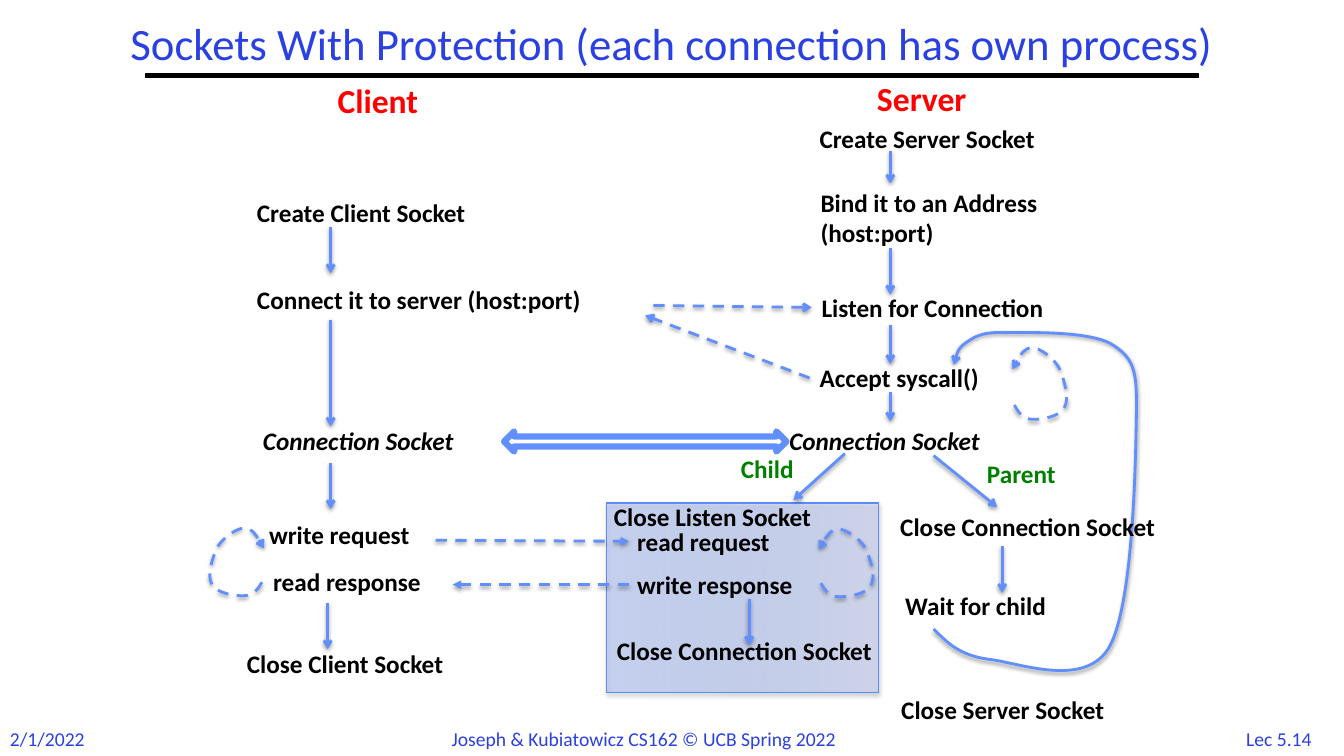
from lxml.etree import SubElement
from pptx import Presentation
from pptx.dml.color import RGBColor
from pptx.enum.dml import MSO_LINE
from pptx.enum.shapes import MSO_CONNECTOR, MSO_SHAPE
from pptx.enum.text import MSO_ANCHOR, MSO_AUTO_SIZE, PP_ALIGN
from pptx.oxml.ns import qn
from pptx.util import Inches, Pt

W, H = 13.33, 7.5
CLIENT, SERVER = 3.28, 8.83  # columns of the downward arrows
COLORS = {"blue": "2A40E2", "red": "FF0000", "black": "000000", "green": "008000",
          "arrow": "618FFD", "edge": "5B8AFB", "white": "FFFFFF",
          "box_from": "5F8EFF", "box_to": "C4D0FF"}
RGB = {name: RGBColor.from_string(value) for name, value in COLORS.items()}

prs = Presentation()
prs.slide_width, prs.slide_height = Inches(W), Inches(H)
slide = prs.slides.add_slide(prs.slide_layouts[6])
shapes = slide.shapes


def text(words, x, y, w, h=0.4, size=18, color="black", bold=True, italic=False,
         align=PP_ALIGN.LEFT, anchor=MSO_ANCHOR.TOP, spacing=None, wrap=False,
         fit=MSO_AUTO_SIZE.SHAPE_TO_FIT_TEXT):
    tf = shapes.add_textbox(Inches(x), Inches(y), Inches(w), Inches(h)).text_frame
    tf.word_wrap, tf.auto_size = wrap, fit
    tf.vertical_anchor = anchor
    for i, line in enumerate(words.split("\n")):
        p = tf.add_paragraph() if i else tf.paragraphs[0]
        p.alignment, p.line_spacing = align, spacing
        r = p.add_run()
        r.text = line
        r.font.name, r.font.size = "Calibri", Pt(size)
        r.font.bold, r.font.italic = bold, italic
        r.font.color.rgb = RGB[color]


def stroke(s, color="arrow", width=2, dash=False, tip=None, shadow=(38, 1.6)):
    """Set line, arrow tip and shadow (opacity in percent, distance in points)."""
    s.line.color.rgb, s.line.width = RGB[color], Pt(width)
    if dash:
        s.line.dash_style = MSO_LINE.DASH
    sp_pr = s._element.spPr
    if tip:
        SubElement(sp_pr.find(qn("a:ln")), qn("a:tailEnd"), type=tip)
    effects = SubElement(sp_pr, qn("a:effectLst"))
    if shadow:
        alpha, dist = shadow
        outer = SubElement(effects, qn("a:outerShdw"), blurRad=str(Pt(3.1)),
                           dist=str(Pt(dist)), dir="5400000", rotWithShape="0")
        clr = SubElement(outer, qn("a:srgbClr"), val=COLORS["black"])
        SubElement(clr, qn("a:alpha"), val=str(alpha * 1000))


# Title, rule and footer
text("Sockets With Protection (each connection has own process)", 0.5, 0.17, W - 1, 0.58,
     size=32, color="blue", bold=False, align=PP_ALIGN.CENTER, anchor=MSO_ANCHOR.MIDDLE,
     spacing=0.9, wrap=True, fit=MSO_AUTO_SIZE.NONE)
rule = shapes.add_connector(MSO_CONNECTOR.STRAIGHT, Inches(1.44), Inches(0.75),
                            Inches(11.89), Inches(0.75))
stroke(rule, "black", 3, shadow=None)
for words, x, w, align in (
        ("2/1/2022", 0, 0.96, PP_ALIGN.LEFT),
        ("Joseph & Kubiatowicz CS162 © UCB Spring 2022", 4.38, 4.55, PP_ALIGN.LEFT),
        ("Lec 5.14", 12.2, 0.97, PP_ALIGN.CENTER)):
    text(words, x, 7.16, w, 0.34, size=14, color="blue", bold=False, align=align)

# Child process box
box = shapes.add_shape(MSO_SHAPE.RECTANGLE, Inches(6.02), Inches(4.99),
                       Inches(2.69), Inches(1.88))
box.fill.gradient()
box.fill.gradient_angle = 0
for stop, name in zip(box.fill.gradient_stops, ("box_from", "box_to")):
    stop.color.rgb = RGB[name]
for clr, alpha in zip(box._element.xpath(".//a:gs/a:srgbClr"), ("26000", "46000")):
    SubElement(clr, qn("a:alpha"), val=alpha)
stroke(box, "edge", 0.75, shadow=(35, 1.8))

# Socket-to-socket link
link = shapes.add_shape(MSO_SHAPE.LEFT_RIGHT_ARROW, Inches(5), Inches(4.28),
                        Inches(2.8), Inches(0.2))
link.fill.solid()
link.fill.fore_color.rgb = RGB["white"]
stroke(link, width=4.5, shadow=None)

# Straight arrows: down the columns, then between them
down = [(CLIENT, 2.25, 2.71), (CLIENT, 3.17, 4.23), (CLIENT, 4.59, 5.05), (3.25, 5.98, 6.44),
        (SERVER, 1.5, 1.82), (SERVER, 2.46, 2.92), (SERVER, 3.22, 3.61),
        (SERVER, 3.89, 4.18), (7.43, 5.94, 6.4), (9.94, 5.42, 5.88)]
arrows = [(x, top, x, bottom, False, "arrow") for x, top, bottom in down]
arrows += [(8.38, 4.5, 7.87, 4.96, False, "arrow"),
           (9.26, 4.52, 9.89, 5.03, False, "arrow"),
           (6.48, 3.03, 8.05, 3.05, True, "arrow"),
           (8.03, 3.75, 6.4, 3.13, True, "arrow"),
           (4.32, 5.36, 6.24, 5.37, True, "triangle"),
           (6.24, 5.8, 4.49, 5.8, True, "triangle")]
for *ends, dash, tip in arrows:
    line = shapes.add_connector(MSO_CONNECTOR.STRAIGHT, *(Inches(v) for v in ends))
    stroke(line, dash=dash, tip=tip)

# Curved arrows: a start point, then three Bezier points per segment
parent_loop = [(9.26, 6.24), (9.39, 6.37), (9.51, 6.5), (9.8, 6.54), (10.09, 6.57),
               (10.74, 6.83), (10.99, 6.44), (11.23, 6.06), (11.26, 4.71), (11.27, 4.21),
               (11.28, 3.71), (11.27, 3.58), (11.05, 3.43), (10.84, 3.28), (10.21, 3.3),
               (9.97, 3.3), (9.72, 3.29), (9.66, 3.35), (9.58, 3.4), (9.5, 3.46),
               (9.48, 3.54), (9.46, 3.62)]
unit_loop = [(0.04, 0.8), (0.11, 0.9), (0.2, 1), (0.37, 1), (0.52, 1.01), (0.89, 0.96),
             (0.96, 0.83), (1.06, 0.7), (0.94, 0.41), (0.85, 0.27), (0.74, 0.13), (0.5, 0),
             (0.37, 0), (0.22, 0), (0.11, 0.15), (0, 0.3)]
curves = [(9.26, 3.3, 2.01, 3.36, parent_loop, False)]
for x, y, h, mirrored in ((10.04, 3.45, 0.71, False), (8.12, 5.25, 0.67, False),
                          (2.08, 5.24, 0.67, True)):
    pts = [(x + 0.54 * (1 - u if mirrored else u), y + h * v) for u, v in unit_loop]
    curves.append((x, y, 0.54, h, pts, True))
for x, y, w, h, pts, dash in curves:
    builder = shapes.build_freeform(Inches(x), Inches(y))
    builder.add_line_segments([(Inches(x + w), Inches(y + h))], close=False)
    curve = builder.convert_to_shape()
    outline = curve._element.xpath(".//a:path")[0]
    for step in list(outline):
        outline.remove(step)
    for i, (px, py) in enumerate(pts):
        if i == 0:
            step = SubElement(outline, qn("a:moveTo"))
        elif i % 3 == 1:
            step = SubElement(outline, qn("a:cubicBezTo"))
        SubElement(step, qn("a:pt"), x=str(Inches(px - x)), y=str(Inches(py - y)))
    curve.fill.background()
    stroke(curve, dash=dash, tip="arrow")

# Headings, branch names and steps
text("Client", 3.25, 0.74, 1.14, 0.5, size=24, color="red")
text("Server", 8.6, 0.72, 1.3, 0.5, size=24, color="red")
text("Child", 7.25, 4.45, 0.83, color="green")
text("Parent", 9.69, 4.5, 0.99, color="green")
for x in (2.51, 7.73):
    text("Connection Socket", x, 4.17, 2.49, italic=True)
for words, x, y, w, h in (
        ("Create Client Socket", 2.45, 1.91, 2.66, 0.4),
        ("Connect it to server (host:port)", 2.45, 2.77, 3.92, 0.4),
        ("write request", 2.57, 5.1, 1.77, 0.4),
        ("read response", 2.61, 5.57, 1.91, 0.4),
        ("Close Client Socket", 2.35, 6.38, 2.57, 0.4),
        ("Create Server Socket", 8.03, 1.17, 2.74, 0.4),
        ("Bind it to an Address\n(host:port)", 8.04, 1.81, 2.8, 0.71),
        ("Listen for Connection", 8.05, 2.85, 2.8, 0.4),
        ("Accept syscall()", 8.03, 3.55, 2.13, 0.4),
        ("read request", 6.22, 5.17, 1.77, 0.4),
        ("write response", 6.22, 5.6, 1.99, 0.4),
        ("Close Server Socket", 8.84, 6.84, 2.7, 0.4)):
    text(words, x, y, w, h)
for words, x, y, w, h in (
        ("Close Listen Socket", 5.99, 4.92, 2.75, 0.4),
        ("Close Connection Socket", 6.02, 6.25, 2.94, 0.71),
        ("Close Connection Socket", 8.83, 5.02, 2.75, 0.71),
        ("Wait for child", 8.88, 5.81, 2.75, 0.4)):
    text(words, x, y, w, h, wrap=True)

prs.save("out.pptx")
